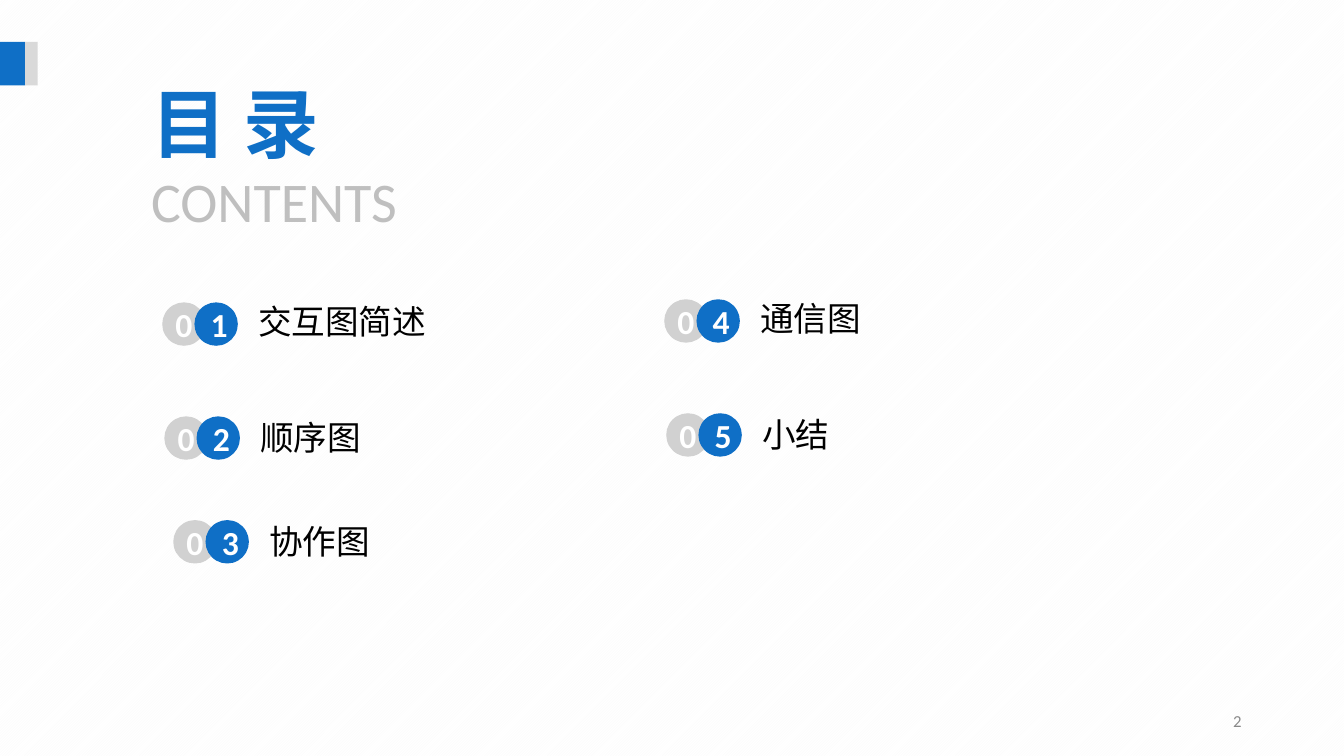
import pptx
import pptx.util
import pptx.dml.color
import pptx.enum.dml
import pptx.enum.shapes
import pptx.enum.text
import lxml.etree

Pt = pptx.util.Pt
SHAPE = pptx.enum.shapes.MSO_SHAPE
ALIGN = pptx.enum.text.PP_ALIGN
ANCHOR = pptx.enum.text.MSO_ANCHOR
BLUE, GREY, WHITE = "0F6FC6", "D1D1D1", "FFFFFF"
LATIN, HAN = "Calibri", "Noto Sans CJK SC"
# Left, top, label and line spacing of each entry
ITEMS = [
    (115.9, 216, "交互图简述", 0.9),
    (117.4, 297.4, "顺序图", 1),
    (123.8, 371.5, "协作图", 1),
    (474.5, 213.8, "通信图", 0.9),
    (475.9, 295.2, "小结", 1),
]


def color(code):
    return pptx.dml.color.RGBColor.from_string(code)


def write(shape, text, size, face, code, bold=False, align=ALIGN.LEFT,
          anchor=ANCHOR.MIDDLE, space=1):
    frame = shape.text_frame
    frame.word_wrap = True
    frame.vertical_anchor = anchor
    frame.text = text
    par = frame.paragraphs[0]
    par.alignment = align
    par.line_spacing = space
    font = par.font
    font.size, font.bold, font.name = Pt(size), bold, face
    font.color.rgb = color(code)
    # East Asian glyphs use the same face
    props = par._p.pPr.find(pptx.oxml.ns.qn("a:defRPr"))
    east = lxml.etree.SubElement(props, pptx.oxml.ns.qn("a:ea"))
    east.set("typeface", face)
    return frame


def inset(frame, left):
    frame.margin_left = Pt(left)
    frame.margin_right = frame.margin_top = frame.margin_bottom = 0


def draw(shapes, kind, box, code):
    shape = shapes.add_shape(kind, *map(Pt, box))
    shape.shadow.inherit = False
    shape.fill.solid()
    shape.fill.fore_color.rgb = color(code)
    shape.line.fill.background()
    return shape


def backdrop(slide):
    fill = slide.background.fill
    fill.patterned()
    fill.pattern = pptx.enum.dml.MSO_PATTERN.LIGHT_UPWARD_DIAGONAL
    fill.fore_color.rgb = color("FAFAFA")
    fill.back_color.rgb = color(WHITE)


def marker(slide, left, top, high):
    group = slide.shapes.add_group_shape()
    draw(group.shapes, SHAPE.RECTANGLE, (left, top, 18, high), BLUE)
    draw(group.shapes, SHAPE.RECTANGLE, (left + 18, top, 9, high), "D9D9D9")


def heading(slide, left, top, wide):
    title = slide.shapes.title
    title.left, title.top = Pt(left), Pt(top)
    title.width, title.height = Pt(wide), Pt(72.7)
    write(title, "目 录", 54, HAN, BLUE, True, anchor=ANCHOR.TOP)
    below = slide.shapes.add_textbox(Pt(left), Pt(top + 64.1), Pt(wide), Pt(55.4))
    write(below, "CONTENTS", 40, LATIN, "BFBFBF", anchor=ANCHOR.TOP)


def entry(slide, left, top, digit, label, space):
    shapes = slide.shapes.add_group_shape().shapes
    # Overlapping digit discs
    zero = draw(shapes, SHAPE.OVAL, (left, top, 31, 31), GREY)
    inset(write(zero, "0", 24, LATIN, WHITE, True, ALIGN.CENTER), 0)
    disc = draw(shapes, SHAPE.OVAL, (left + 23, top, 31, 31), BLUE)
    write(disc, str(digit), 24, LATIN, WHITE, True, ALIGN.CENTER)
    # Label
    text = shapes.add_textbox(Pt(left + 54), Pt(top - 8.6), Pt(270), Pt(47.5))
    inset(write(text, label, 24, HAN, "000000", space=space), 14.4)


def footer(slide, left, top, wide, high):
    page = slide.shapes.add_textbox(Pt(left), Pt(top), Pt(wide), Pt(high))
    write(page, "2", 12, LATIN, "898989", align=ALIGN.RIGHT)


def main():
    deck = pptx.Presentation()
    deck.slide_width, deck.slide_height = Pt(960), Pt(540)
    slide = deck.slides.add_slide(deck.slide_layouts[5])
    backdrop(slide)
    marker(slide, 0, 30, 31)
    heading(slide, 100.8, 51.1, 193.7)
    for digit, (left, top, label, space) in enumerate(ITEMS, 1):
        entry(slide, left, top, digit, label, space)
    footer(slide, 678, 500.5, 216, 28.8)
    deck.save("out.pptx")


if __name__ == "__main__":
    main()
